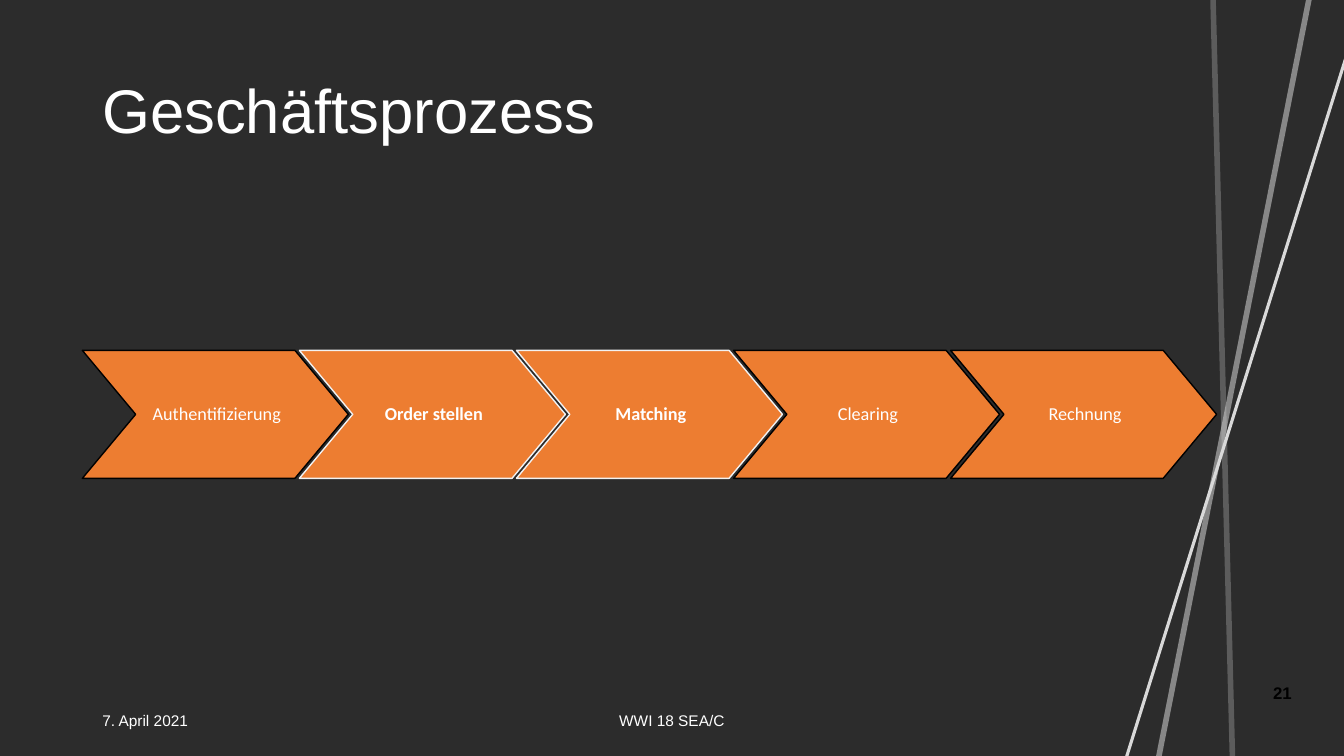
from dataclasses import dataclass

from lxml import etree
from pptx import Presentation
from pptx.dml.color import RGBColor
from pptx.enum.shapes import MSO_CONNECTOR, MSO_SHAPE
from pptx.enum.text import MSO_ANCHOR, PP_ALIGN
from pptx.oxml.ns import qn
from pptx.util import Pt

CHEVRON = MSO_SHAPE.CHEVRON
STRAIGHT = MSO_CONNECTOR.STRAIGHT
MIDDLE = MSO_ANCHOR.MIDDLE
LEFT, CENTER = PP_ALIGN.LEFT, PP_ALIGN.CENTER


@dataclass(frozen=True)
class Theme:
    background: RGBColor = RGBColor(0x2C, 0x2C, 0x2C)
    text: RGBColor = RGBColor(0xFF, 0xFF, 0xFF)
    dark: RGBColor = RGBColor(0x00, 0x00, 0x00)
    step: RGBColor = RGBColor(0xED, 0x7D, 0x31)
    highlight: RGBColor = RGBColor(0xF2, 0xF2, 0xF2)
    ray: RGBColor = RGBColor(0xD9, 0xD9, 0xD9)
    font: str = "Arial"
    step_font: str = "Calibri"
    title_size: float = 44
    step_size: float = 13
    number_size: float = 12
    footer_size: float = 11


THEME = Theme()
SLIDE_SIZE = (960, 540)

# Start, end, width in points and opacity in percent
RAYS = [
    ((792.7, 578.9), (966.2, 25.9), 2.25, 100),
    ((820.1, 578.9), (939.6, -23.8), 4, 52),
    ((881.3, 578.9), (866.2, -11.5), 4, 28),
]

# Label and whether the step is highlighted
STEPS = [
    ("Authentifizierung", False),
    ("Order stellen", True),
    ("Matching", True),
    ("Clearing", False),
    ("Rechnung", False),
]


def write_text(shape, text, *, size, font=THEME.font, color=THEME.text,
               bold=False, align=LEFT, line_spacing=1.0, margins=(7.2, 3.6, 7.2, 3.6)):
    frame = shape.text_frame
    frame.word_wrap = True
    frame.vertical_anchor = MIDDLE
    (frame.margin_left, frame.margin_top,
     frame.margin_right, frame.margin_bottom) = map(Pt, margins)
    paragraph = frame.paragraphs[0]
    paragraph.alignment = align
    paragraph.line_spacing = line_spacing
    run = paragraph.add_run()
    run.text = text
    run.font.size = Pt(size)
    run.font.name = font
    run.font.bold = bold
    run.font.color.rgb = color


def add_text(slide, box, text, **text_format):
    write_text(slide.shapes.add_textbox(*map(Pt, box)), text, **text_format)


def add_ray(slide, start, end, width, opacity):
    ray = slide.shapes.add_connector(STRAIGHT, *map(Pt, start + end))
    ray.line.color.rgb = THEME.ray
    ray.line.width = Pt(width)
    properties = ray.line._get_or_add_ln().getparent()
    if opacity < 100:
        color = properties.find(".//" + qn("a:srgbClr"))
        etree.SubElement(color, qn("a:alpha"), val=str(opacity * 1000))
    etree.SubElement(properties, qn("a:effectLst"))


def add_step(slide, box, label, highlighted):
    step = slide.shapes.add_shape(CHEVRON, *map(Pt, box))
    step.adjustments[0] = 0.417
    step.shadow.inherit = False
    step.fill.solid()
    step.fill.fore_color.rgb = THEME.step
    step.line.color.rgb = THEME.highlight if highlighted else THEME.dark
    step.line.width = Pt(1)
    write_text(step, label, size=THEME.step_size, font=THEME.step_font,
               bold=highlighted, align=CENTER, line_spacing=0.9,
               margins=(2, 1.5, 0, 1.5))


def add_process(slide, box):
    """Spread the steps evenly so that the first and last touch the box sides."""
    left, top, width, height = box
    step_width = 190
    pitch = (width - step_width) / (len(STEPS) - 1)
    for index, (label, highlighted) in enumerate(STEPS):
        step_box = (left + index * pitch, top, step_width, height)
        add_step(slide, step_box, label, highlighted)


def add_footer(slide, box):
    left, top, width, height = box
    add_text(slide, (left, top, 216, height), "7. April 2021",
             size=THEME.footer_size)
    add_text(slide, (left + 252, top, 324, height), "WWI 18 SEA/C",
             size=THEME.footer_size, align=CENTER)
    add_text(slide, (left + width - 40, top - 20, 40, height), "21",
             size=THEME.number_size, color=THEME.dark, bold=True, align=CENTER)


def build_process_slide(presentation):
    slide = presentation.slides.add_slide(presentation.slide_layouts[6])
    slide.background.fill.solid()
    slide.background.fill.fore_color.rgb = THEME.background
    for ray in RAYS:
        add_ray(slide, *ray)
    add_text(slide, (66, 28.75, 828, 104.4), "Geschäftsprozess",
             size=THEME.title_size, line_spacing=0.9)
    add_process(slide, (58.8, 250.3, 810.2, 91.4))
    add_footer(slide, (66, 500.5, 870, 28.75))


def main():
    presentation = Presentation()
    presentation.slide_width, presentation.slide_height = map(Pt, SLIDE_SIZE)
    build_process_slide(presentation)
    presentation.save("out.pptx")


if __name__ == "__main__":
    main()
